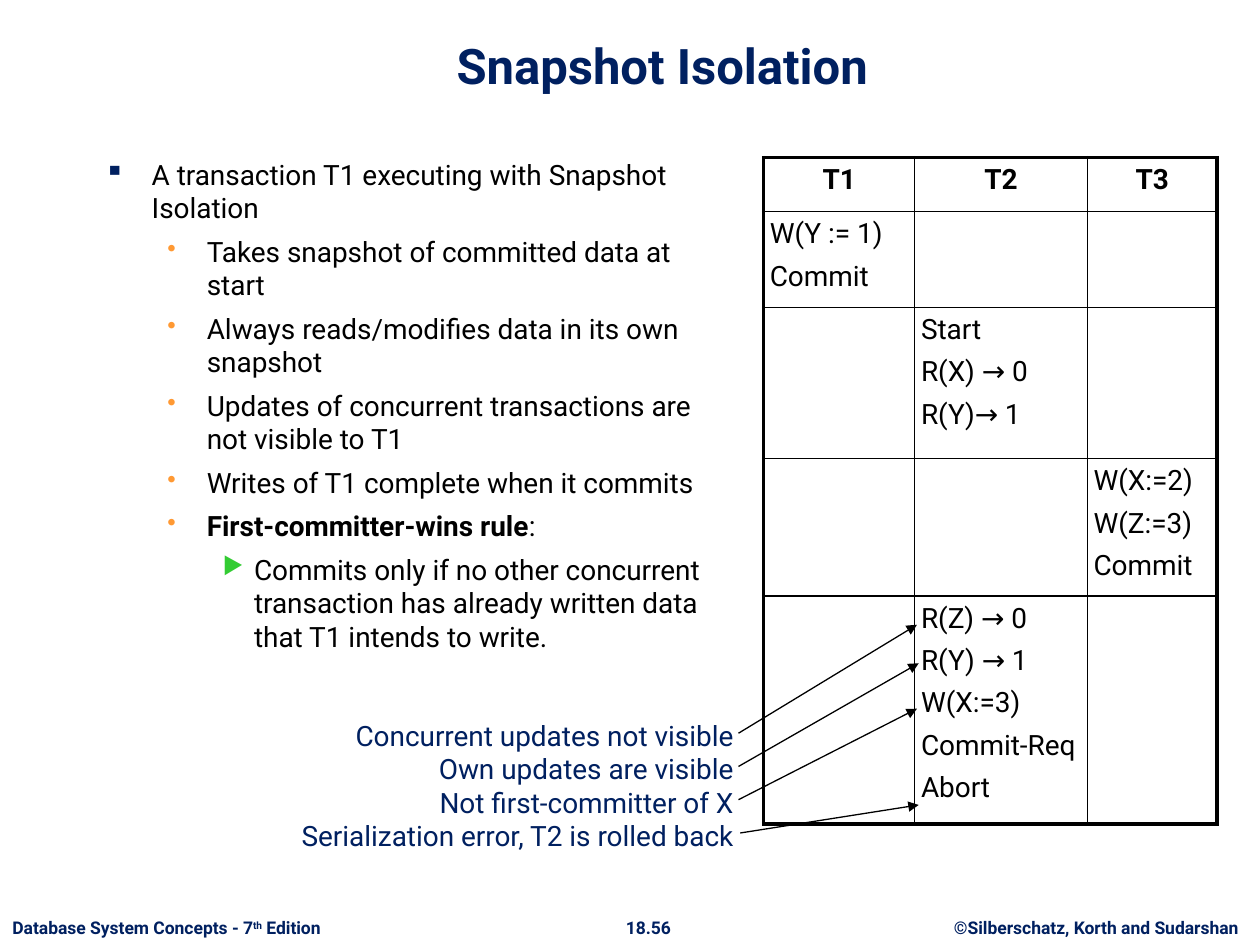
from dataclasses import dataclass
from itertools import accumulate

from lxml import etree
from pptx import Presentation
from pptx import util as u
from pptx.dml.color import RGBColor
from pptx.enum import shapes, text
from pptx.oxml import ns

FONT = "Roboto"
COLORS = {"navy": "002060", "black": "000000", "orange": "FF9933", "green": "33CC33"}
LEFT, CENTER, RIGHT = text.PP_ALIGN.LEFT, text.PP_ALIGN.CENTER, text.PP_ALIGN.RIGHT
GAP = 5.6  # space before body and table paragraphs


@dataclass
class Style:
    size: float = 16
    color: str = "black"
    bold: bool = False
    align: int = LEFT
    before: float = 0


@dataclass
class Bullet:
    char: str
    color: str
    percent: int
    left: float
    hang: float


@dataclass
class Box:
    x: float
    y: float
    w: float
    h: float
    wrap: bool = False


@dataclass
class Callout:
    label: str
    start: tuple[float, float]
    end: tuple[float, float]


def child(parent, tag: str, **attrs):
    el = etree.SubElement(parent, ns.qn(tag))
    for key, value in attrs.items():
        el.set(key, str(value))
    return el


def style_paragraph(p, style: Style) -> None:
    p.alignment = style.align
    p.space_before = u.Pt(style.before)
    for r in p.runs:
        r.font.name = FONT
        r.font.size = u.Pt(style.size)
        r.font.bold = style.bold
        r.font.color.rgb = RGBColor.from_string(COLORS[style.color])


def fill_text(tf, lines: list[str], style: Style) -> None:
    tf.text = "\n".join(lines)
    for p in tf.paragraphs:
        style_paragraph(p, style)


def add_text(s, box: Box, lines: list[str], style: Style):
    sp = s.shapes.add_textbox(u.Pt(box.x), u.Pt(box.y), u.Pt(box.w), u.Pt(box.h))
    tf = sp.text_frame
    tf.word_wrap = box.wrap
    if not box.wrap:
        tf.auto_size = text.MSO_AUTO_SIZE.SHAPE_TO_FIT_TEXT
    fill_text(tf, lines, style)
    return tf


def add_bullet(p, b: Bullet) -> None:
    pPr = p._p.get_or_add_pPr()
    pPr.set("marL", str(u.Pt(b.left)))
    pPr.set("indent", str(-u.Pt(b.hang)))
    child(child(pPr, "a:buClr"), "a:srgbClr", val=COLORS[b.color])
    child(pPr, "a:buSzPct", val=b.percent * 1000)
    child(pPr, "a:buChar", char=b.char)


def set_border(cell, side: str, width: float) -> None:
    ln = child(cell._tc.get_or_add_tcPr(), f"a:ln{side}", w=u.Pt(width))
    child(child(ln, "a:solidFill"), "a:srgbClr", val=COLORS["black"])


def add_schedule(s, x: float, y: float, cols: list[float], rows: list[float],
                 header: list[str], steps: dict[tuple[int, int], list[str]]) -> None:
    frame = s.shapes.add_table(len(rows), len(cols), u.Pt(x), u.Pt(y),
                               u.Pt(sum(cols)), u.Pt(sum(rows)))
    table = frame.table
    table.first_row = table.horz_banding = False
    for col, width in zip(table.columns, cols):
        col.width = u.Pt(width)
    for row, height in zip(table.rows, rows):
        row.height = u.Pt(height)
    for i in range(len(rows)):
        for j in range(len(cols)):
            cell = table.cell(i, j)
            cell.margin_left = cell.margin_right = u.Pt(3.6)
            cell.margin_top = cell.margin_bottom = u.Pt(3.6)
            if i == 0:
                fill_text(cell.text_frame, [header[j]], Style(bold=True, align=CENTER, before=GAP))
            elif (i, j) in steps:
                fill_text(cell.text_frame, steps[i, j], Style(before=GAP))
            # Thick outer frame, thin inner lines
            outer = {"L": j == 0, "R": j == len(cols) - 1, "T": i == 0, "B": i == len(rows) - 1}
            for side, thick in outer.items():
                set_border(cell, side, 2.25 if thick else 1)
            cell.fill.background()


def add_arrow(s, start: tuple[float, float], end: tuple[float, float]) -> None:
    ends = [u.Pt(v) for v in (*start, *end)]
    line = s.shapes.add_connector(shapes.MSO_CONNECTOR.STRAIGHT, *ends)
    line.line.width = u.Pt(0.75)
    line.line.color.rgb = RGBColor.from_string(COLORS["black"])
    child(line.line._get_or_add_ln(), "a:tailEnd", type="triangle")
    child(line._element.spPr, "a:effectLst")


BULLETS = [
    Bullet("▪", "navy", 100, 27, 27),
    Bullet("•", "orange", 90, 58.5, 22.5),
    Bullet("▶", "green", 85, 85.5, 18),
]
POINTS = [
    (0, "A transaction T1 executing with Snapshot Isolation"),
    (1, "Takes snapshot of committed data at start"),
    (1, "Always reads/modifies data in its own snapshot"),
    (1, "Updates of concurrent transactions are not visible to T1"),
    (1, "Writes of T1 complete when it commits"),
    (1, "First-committer-wins rule"),
    (2, "Commits only if no other concurrent transaction has already written data "
        "that T1 intends to write."),
]
STEPS = {
    (1, 0): ["W(Y := 1)", "Commit"],
    (2, 1): ["Start", "R(X) → 0", "R(Y)→ 1"],
    (3, 2): ["W(X:=2)", "W(Z:=3)", "Commit"],
    (4, 1): ["R(Z) → 0", "R(Y) → 1", "W(X:=3)", "Commit-Req", "Abort"],
}
CALLOUTS = [
    Callout("Concurrent updates not visible", (422, 419), (524, 357)),
    Callout("Own updates are visible", (422, 438), (525, 379)),
    Callout("Not first-committer of X", (422, 457), (524, 405)),
    Callout("Serialization error, T2 is rolled back", (423, 476), (525, 460)),
]


def main() -> None:
    prs = Presentation()
    prs.slide_width, prs.slide_height = u.Pt(720), u.Pt(540)
    s = prs.slides.add_slide(prs.slide_layouts[6])

    # Footer
    small = Style(10, "navy", True, CENTER)
    add_text(s, Box(532.8, 520.6, 187.2, 19.4), ["©Silberschatz, Korth and Sudarshan"], small)
    add_text(s, Box(350, 520.6, 41, 19.4), ["18.56"], small)
    small.align = LEFT
    tf = add_text(s, Box(0, 520.6, 202.3, 19.4), ["Database System Concepts - 7"], small)
    p = tf.paragraphs[0]
    for part in ("th", " Edition"):
        p.add_run().text = part
    style_paragraph(p, small)
    p.runs[1]._r.get_or_add_rPr().set("baseline", "30000")

    # Title
    tf = add_text(s, Box(60.5, 9.4, 635.8, 48.2, True), ["Snapshot Isolation"],
                  Style(28, "navy", True, CENTER))
    tf.vertical_anchor = text.MSO_ANCHOR.BOTTOM

    # Bulleted body
    body = Style(before=GAP)
    tf = add_text(s, Box(52.6, 86.4, 360, 416.9, True), [line for _, line in POINTS], body)
    for p, (level, _) in zip(tf.paragraphs, POINTS):
        p.level = level
        add_bullet(p, BULLETS[level])
    rule = tf.paragraphs[5]
    rule.add_run().text = ":"
    style_paragraph(rule, body)
    rule.runs[0].font.bold = True

    # Schedule table
    add_schedule(s, 436.3, 90, [86.4, 98.6, 74.2], [31, 54.7, 86.4, 78.5, 130.3],
                 ["T1", "T2", "T3"], STEPS)

    # Callouts and their arrows
    add_text(s, Box(161.3, 406.8, 265, 84.2), [c.label for c in CALLOUTS],
             Style(color="navy", align=RIGHT))
    for c in CALLOUTS:
        add_arrow(s, c.start, c.end)

    prs.save("out.pptx")


if __name__ == "__main__":
    main()
